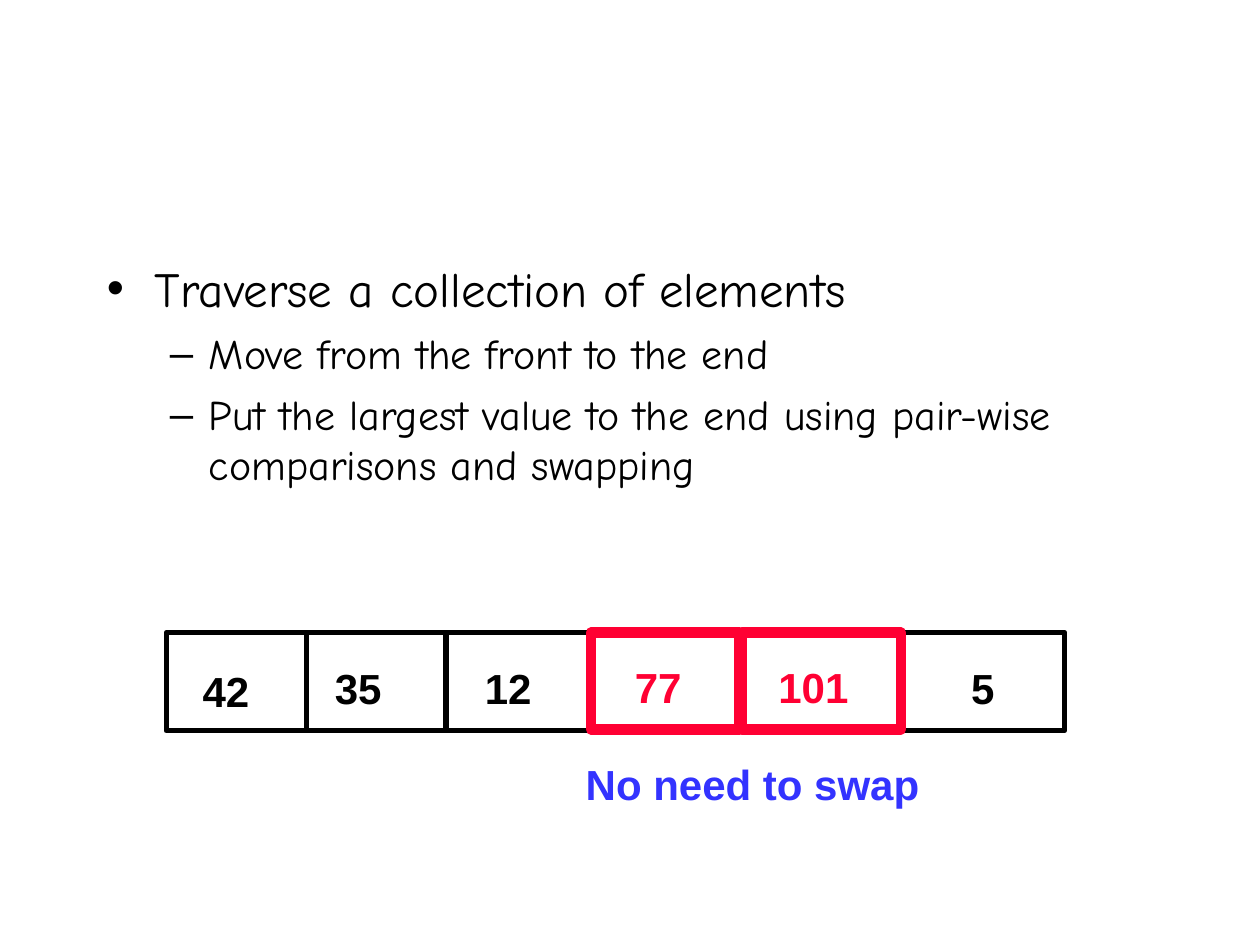
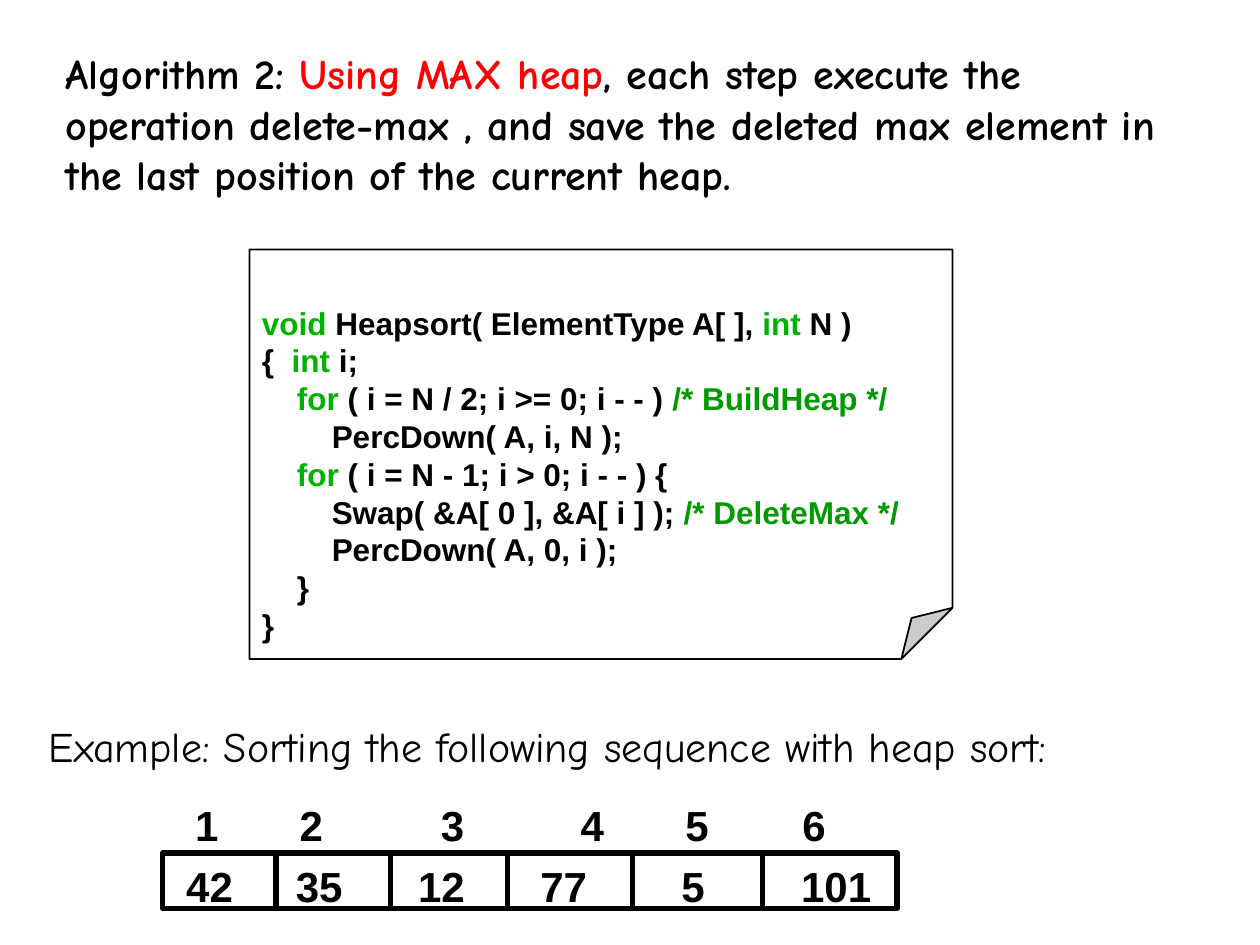
"""Build two slides on bubbling up the largest value and on heap sort."""
from lxml import etree
from pptx import Presentation
from pptx.dml.color import RGBColor
from pptx.enum.shapes import MSO_CONNECTOR, MSO_SHAPE
from pptx.enum.text import MSO_ANCHOR, PP_ALIGN
from pptx.oxml.ns import qn
from pptx.util import Inches, Pt

RECTANGLE = MSO_SHAPE.RECTANGLE
FOLDED_CORNER = MSO_SHAPE.FOLDED_CORNER
STRAIGHT = MSO_CONNECTOR.STRAIGHT
LEFT = PP_ALIGN.LEFT
TOP = MSO_ANCHOR.TOP
color = RGBColor.from_string

BODY_FONT, CODE_FONT = "Comic Neue", "Arial"
BLACK, WHITE = "000000", "FFFFFF"
HIGHLIGHT, NOTE, RED = "FF0033", "3333FF", "FF0000"
KEYWORD, COMMENT = "00B200", "009900"


def write_text(shape, paragraphs, font=CODE_FONT, size=24, bold=True, ink=BLACK, wrap=True, top_inset=0.05):
    """Fill a shape with paragraphs, each a string or a list of (text, colour) runs."""
    frame = shape.text_frame
    frame.word_wrap = wrap
    frame.vertical_anchor = TOP
    frame.margin_top = Inches(top_inset)
    for index, runs in enumerate(paragraphs):
        paragraph = frame.paragraphs[0] if index == 0 else frame.add_paragraph()
        paragraph.alignment = LEFT
        paragraph.line_spacing = Pt(size * 1.2)
        for text, run_ink in [(runs, ink)] if isinstance(runs, str) else runs:
            run = paragraph.add_run()
            run.text = text
            run.font.name, run.font.size, run.font.bold = font, Pt(size), bold
            run.font.color.rgb = color(run_ink)
    return frame


def draw_array(slide, left, top, width, height, dividers, values):
    """Draw a framed row of cells with its dividers and (text, left, top, width, colour) values."""
    frame = slide.shapes.add_shape(RECTANGLE, Inches(left), Inches(top), Inches(width), Inches(height))
    frame.shadow.inherit = False
    frame.fill.background()
    frame.line.color.rgb, frame.line.width = color(BLACK), Pt(3)
    for x in dividers:
        divider = slide.shapes.add_connector(STRAIGHT, Inches(x), Inches(top), Inches(x), Inches(top + height))
        divider.line.color.rgb, divider.line.width = color(BLACK), Pt(3)
        etree.SubElement(divider._element.spPr, qn("a:effectLst"))
    for text, x, y, value_width, ink in values:
        value = slide.shapes.add_textbox(Inches(x), Inches(y), Inches(value_width), Inches(0.5))
        write_text(value, [text], ink=ink, wrap=False)


presentation = Presentation()
presentation.slide_width, presentation.slide_height = Inches(10), Inches(7.5)
blank = presentation.slide_layouts[6]

slide = presentation.slides.add_slide(blank)
outline = slide.shapes.add_textbox(Inches(0.75), Inches(2), Inches(8.42), Inches(4))
frame = write_text(outline, [
    "Traverse a collection of elements",
    "Move from the front to the end",
    "Put the largest value to the end using pair-wise comparisons and swapping",
], font=BODY_FONT, bold=False)
for index, paragraph in enumerate(frame.paragraphs):
    if index == 0:
        size, mark, margin, hanging = 28, "•", 0.38, 0.38
    else:
        size, mark, margin, hanging = 24, "–", 0.81, 0.31
        paragraph.level = 1
        paragraph.space_before = Pt(6)
    paragraph.line_spacing = Pt(size * 1.2)
    paragraph.runs[0].font.size = Pt(size)
    properties = paragraph._p.get_or_add_pPr()
    properties.set("marL", str(Inches(margin)))
    properties.set("indent", str(-Inches(hanging)))
    etree.SubElement(properties, qn("a:buFont"), typeface=CODE_FONT)
    etree.SubElement(properties, qn("a:buChar"), char=mark)

draw_array(slide, 1.32, 5.02, 7.13, 0.78, [2.43, 3.54, 4.68, 5.89, 7.15], [
    ("42", 1.51, 5.23, 0.57, BLACK),
    ("35", 2.56, 5.21, 0.57, BLACK),
    ("12", 3.75, 5.21, 0.57, BLACK),
    ("77", 4.94, 5.2, 0.57, HIGHLIGHT),
    ("101", 6.08, 5.2, 0.76, HIGHLIGHT),
    ("5", 7.61, 5.21, 0.39, BLACK),
])
for left, width in [(4.69, 1.18), (5.89, 1.26)]:
    compared = slide.shapes.add_shape(RECTANGLE, Inches(left), Inches(5.02), Inches(width), Inches(0.77))
    compared.shadow.inherit = False
    compared.fill.background()
    compared.line.color.rgb, compared.line.width = color(HIGHLIGHT), Pt(6)
verdict = slide.shapes.add_textbox(Inches(4.55), Inches(5.97), Inches(2.85), Inches(0.5))
write_text(verdict, ["No need to swap"], ink=NOTE, wrap=False)

slide = presentation.slides.add_slide(blank)
code = slide.shapes.add_shape(FOLDED_CORNER, Inches(1.98), Inches(1.98), Inches(5.58), Inches(3.25))
fold = code._element.spPr.find(qn("a:prstGeom")).get_or_add_avLst()
etree.SubElement(fold, qn("a:gd"), name="adj", fmla="val 12500")
code.shadow.inherit = False
code.fill.solid()
code.fill.fore_color.rgb = color(WHITE)
code.line.color.rgb, code.line.width = color(BLACK), Pt(1)
write_text(code, [
    [("void", KEYWORD), (" Heapsort( ElementType A[ ], ", BLACK), ("int", KEYWORD), (" N )", BLACK)],
    [("{  ", BLACK), ("int", KEYWORD), (" i;", BLACK)],
    [("    for", KEYWORD), (" ( i = N / 2; i >= 0; i - - ) ", BLACK), ("/* BuildHeap */", COMMENT)],
    "        PercDown( A, i, N );",
    [("    for", KEYWORD), (" ( i = N - 1; i > 0; i - - ) {", BLACK)],
    [("        Swap( &A[ 0 ], &A[ i ] ); ", BLACK), ("/* DeleteMax */", COMMENT)],
    "        PercDown( A, 0, i );",
    "    }",
    "}",
], size=18, top_inset=0.43)

heading = slide.shapes.add_textbox(Inches(0.42), Inches(0.33), Inches(8.92), Inches(1.3))
write_text(heading, [[
    ("Algorithm 2: ", BLACK),
    ("Using MAX heap", RED),
    (", each step execute the operation delete-max , and save the deleted max element "
     "in the last position of the current heap.", BLACK),
]], font=BODY_FONT)
example = slide.shapes.add_textbox(Inches(0.29), Inches(5.67), Inches(9.29), Inches(0.5))
write_text(example, ["Example: Sorting the following sequence with heap sort:"], font=BODY_FONT, bold=False)

draw_array(slide, 1.29, 6.77, 5.83, 0.44, [2.19, 3.1, 4.03, 5.02, 6.05], [
    ("42", 1.38, 6.78, 0.57, BLACK),
    ("35", 2.25, 6.78, 0.57, BLACK),
    ("12", 3.22, 6.78, 0.57, BLACK),
    ("77", 4.19, 6.78, 0.57, BLACK),
    ("5", 5.31, 6.78, 0.39, BLACK),
    ("101", 6.26, 6.78, 0.76, BLACK),
])
positions = slide.shapes.add_textbox(Inches(1.45), Inches(6.3), Inches(6.25), Inches(0.5))
frame = write_text(positions, ["1\t2\t3\t4\t5\t6"])
tabs = etree.SubElement(frame.paragraphs[0]._p.get_or_add_pPr(), qn("a:tabLst"))
for stop in [0.83, 1.95, 3.06, 3.89, 4.82]:
    etree.SubElement(tabs, qn("a:tab"), pos=str(Inches(stop)), algn="l")

presentation.save("out.pptx")
